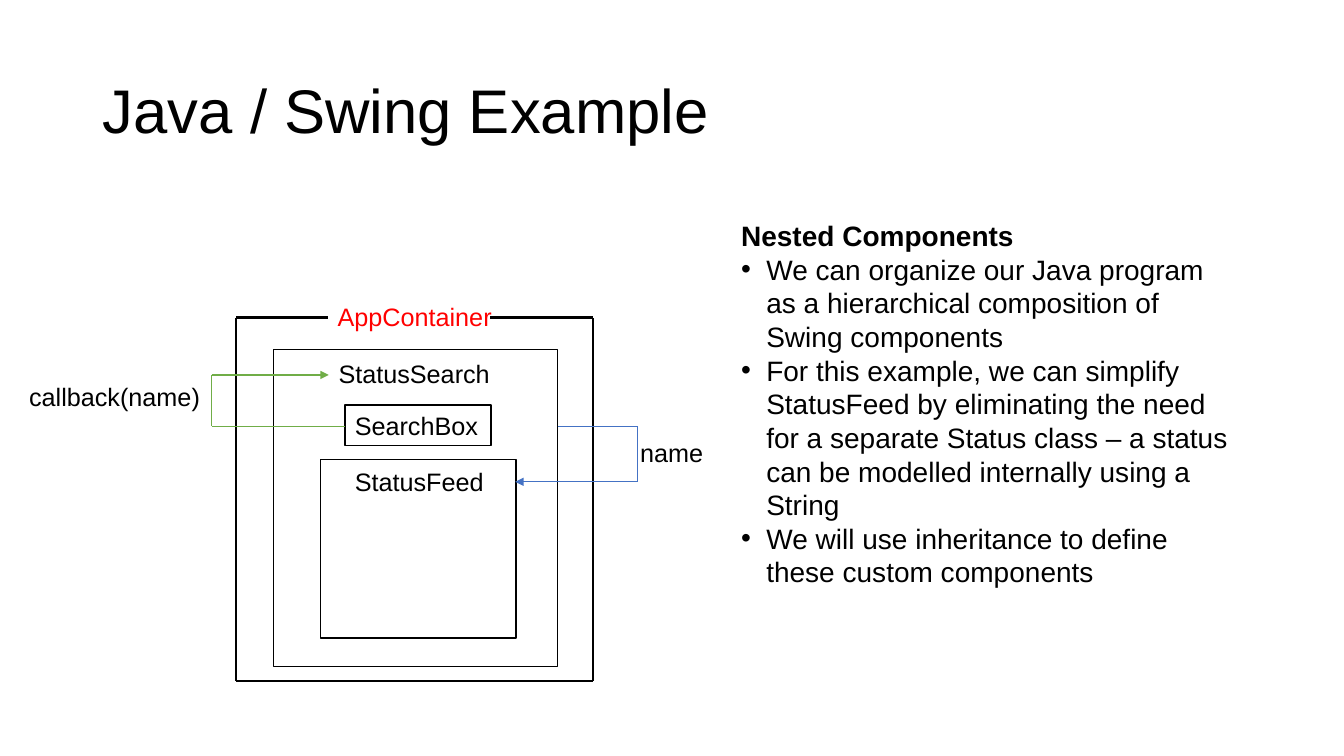
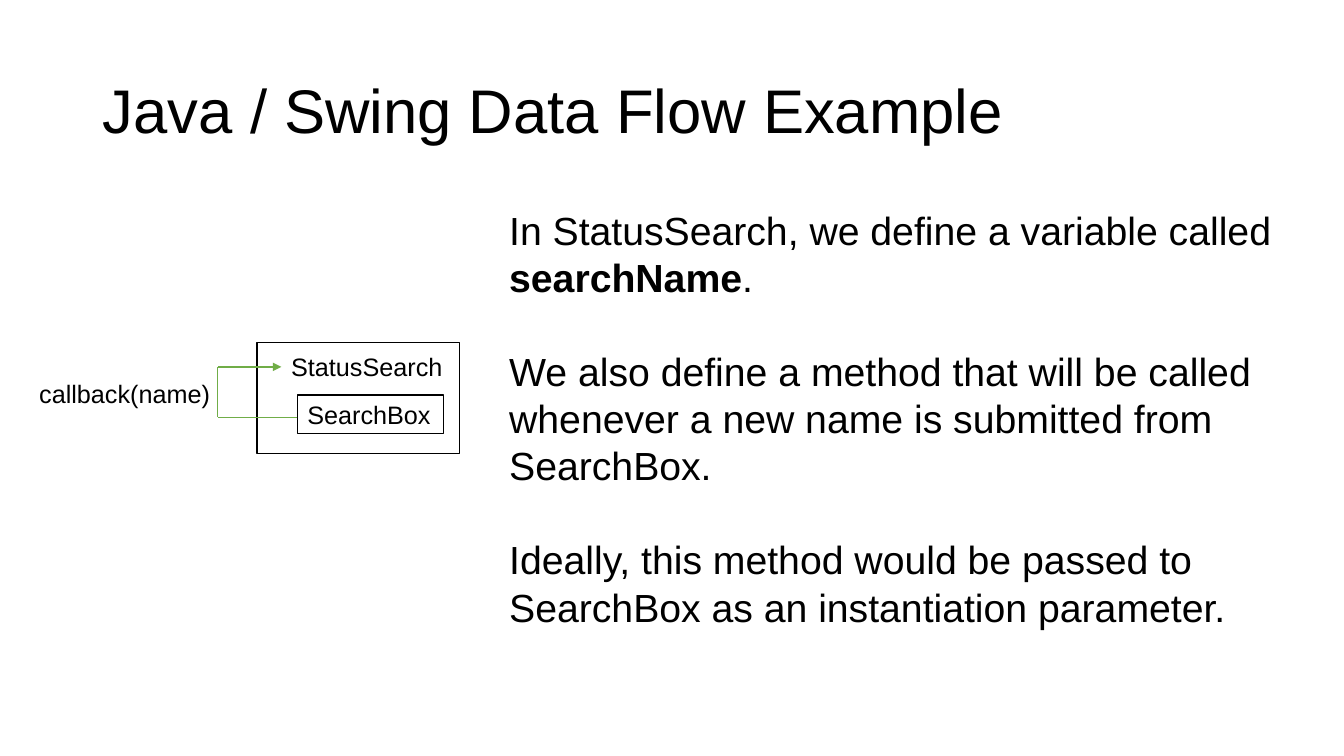
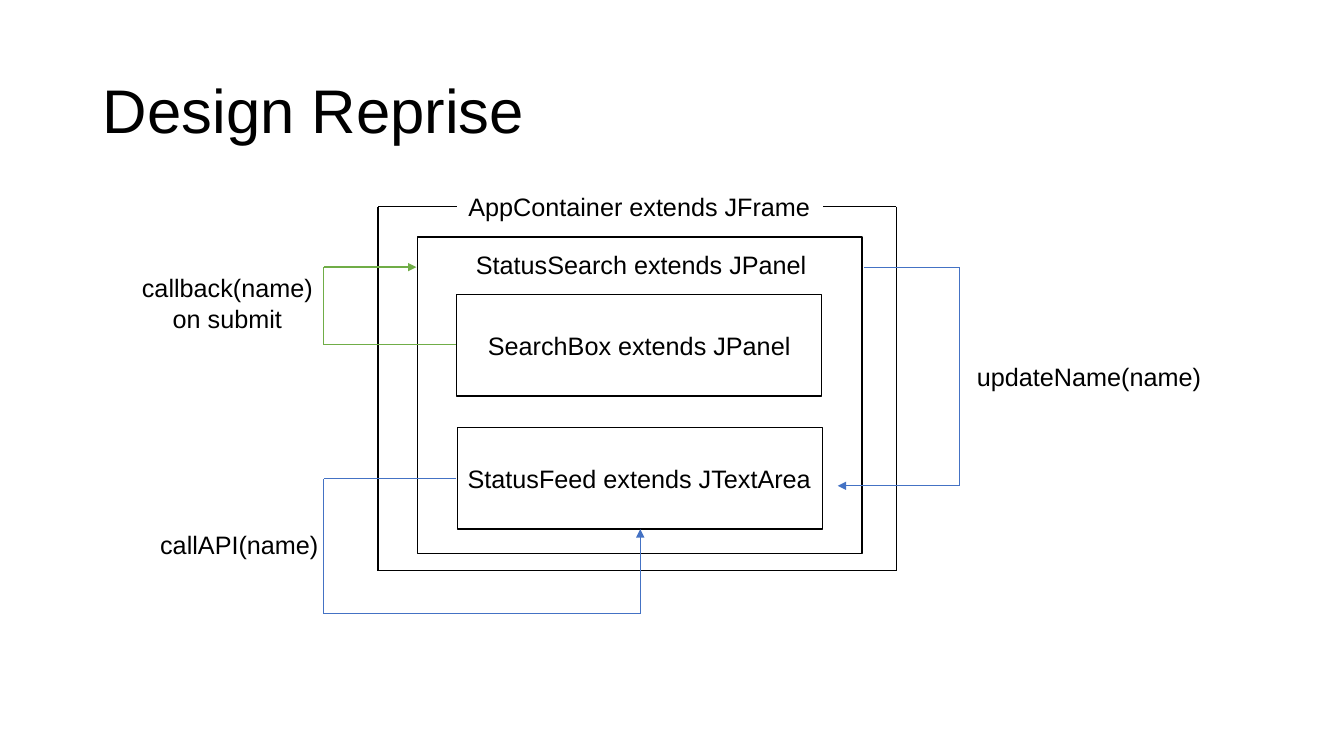
"""Build three slides on nested Java / Swing components and their data flow."""
from dataclasses import dataclass
from itertools import pairwise

from pptx import Presentation
from pptx.dml.color import RGBColor
from pptx.enum.shapes import MSO_CONNECTOR, MSO_SHAPE
from pptx.enum.text import MSO_ANCHOR, MSO_AUTO_SIZE, PP_ALIGN
from pptx.oxml.ns import qn
from pptx.util import Inches, Pt


@dataclass(frozen=True)
class Theme:
    font: str = "Arial"
    ink: str = "000000"
    paper: str = "FFFFFF"
    red: str = "FF0000"
    blue: str = "4472C4"
    green: str = "70AD47"
    title_size: int = 44
    label_size: int = 18
    line_height: float = 1.2
    thin: float = 0.5
    normal: float = 1
    thick: float = 1.5


T = Theme()
LEFT, CENTER = PP_ALIGN.LEFT, PP_ALIGN.CENTER
TITLE_AT = (0.92, 0.4, 11.5, 1.45)

SLIDES = [
    {
        "title": "Java / Swing Example",
        "body": {
            "at": (7.25, 2.12, 5.15, 4.76), "size": 20, "gap": 0,
            "paragraphs": [
                (False, [("Nested Components", True)]),
                (True, [("We can organize our Java program as a hierarchical "
                         "composition of Swing components", False)]),
                (True, [("For this example, we can simplify StatusFeed by eliminating "
                         "the need for a separate Status class – a status can be "
                         "modelled internally using a String", False)]),
                (True, [("We will use inheritance to define these custom components", False)]),
            ],
        },
        "boxes": [
            ((2.71, 3.47, 2.82, 3.14), "", LEFT),
            ((3.18, 4.56, 1.94, 1.77), "", LEFT),
            ((3.42, 4.02, 1.45, 0.4), "SearchBox", LEFT),
        ],
        "labels": [
            ((3.26, 3.51, 1.77, 0.4), "StatusSearch", LEFT, T.ink),
            ((3.42, 4.58, 2.11, 0.4), "StatusFeed", LEFT, T.ink),
            ((3.25, 2.94, 1.74, 0.4), "AppContainer", LEFT, T.red),
            ((6.25, 4.29, 0.83, 0.4), "name", LEFT, T.ink),
            ((0.19, 3.73, 1.91, 0.4), "callback(name)", LEFT, T.ink),
        ],
        "paths": [
            ([(3.25, 3.15), (2.34, 3.15), (2.34, 6.76), (5.88, 6.76), (5.88, 3.15),
              (4.86, 3.15)], T.ink, T.thick, False),
            ([(5.53, 4.23), (6.32, 4.23), (6.32, 4.78), (5.11, 4.78)], T.blue, T.thin, True),
            ([(3.42, 4.23), (2.1, 4.23), (2.1, 3.72), (3.26, 3.72)], T.green, T.normal, True),
        ],
    },
    {
        "title": "Java / Swing Data Flow Example",
        "body": {
            "at": (4.95, 2, 7.94, 4.76), "size": 28, "gap": 1,
            "paragraphs": [
                (False, [("In StatusSearch, we define a variable called ", False),
                         ("searchName", True), (".", False)]),
                (False, [("We also define a method that will be called whenever a new "
                          "name is submitted from SearchBox.", False)]),
                (False, [("Ideally, this method would be passed to SearchBox as an "
                          "instantiation parameter.", False)]),
            ],
        },
        "boxes": [
            ((2.55, 3.4, 2.01, 1.1), "", LEFT),
            ((2.95, 3.92, 1.45, 0.38), "SearchBox", LEFT),
        ],
        "labels": [
            ((2.79, 3.44, 1.77, 0.4), "StatusSearch", LEFT, T.ink),
            ((0.29, 3.7, 1.91, 0.4), "callback(name)", LEFT, T.ink),
        ],
        "paths": [
            ([(2.95, 4.14), (2.16, 4.14), (2.16, 3.64), (2.79, 3.64)], T.green, T.normal, True),
        ],
    },
    {
        "title": "Design Reprise",
        "body": None,
        "boxes": [
            ((4.14, 2.35, 4.41, 3.14), "", LEFT),
            ((4.54, 4.24, 3.62, 1.01), "StatusFeed extends JTextArea", LEFT),
            ((4.53, 2.92, 3.62, 1.01), "SearchBox extends JPanel", CENTER),
        ],
        "labels": [
            ((4.61, 2.42, 3.5, 0.4), "StatusSearch extends JPanel", CENTER, T.ink),
            ((4.53, 1.85, 3.62, 0.4), "AppContainer extends JFrame", CENTER, T.ink),
            ((9.59, 3.53, 2.45, 0.4), "updateName(name)", LEFT, T.ink),
            ((1.3, 2.65, 1.91, 0.71), "callback(name)\non submit", CENTER, T.ink),
            ((1.49, 5.2, 1.79, 0.4), "callAPI(name)", LEFT, T.ink),
        ],
        "paths": [
            ([(4.53, 2.05), (3.75, 2.05), (3.75, 5.66), (8.89, 5.66), (8.89, 2.05),
              (8.16, 2.05)], T.ink, T.normal, False),
            ([(8.57, 2.65), (9.52, 2.65), (9.52, 4.82), (8.31, 4.82)], T.blue, T.thin, True),
            ([(4.52, 3.42), (3.21, 3.42), (3.21, 2.65), (4.13, 2.65)], T.green, T.normal, True),
            ([(4.52, 4.75), (3.21, 4.75), (3.21, 6.09), (6.35, 6.09), (6.35, 5.25)],
             T.blue, T.thin, True),
        ],
    },
]


def inches(values):
    return [Inches(value) for value in values]


def place(shape, at):
    shape.left, shape.top, shape.width, shape.height = inches(at)


def add_run(paragraph, text, size, color=T.ink, bold=False):
    run = paragraph.add_run()
    run.text = text
    run.font.name, run.font.size, run.font.bold = T.font, Pt(size), bold
    run.font.color.rgb = RGBColor.from_string(color)


def next_paragraph(frame, index):
    return frame.add_paragraph() if index else frame.paragraphs[0]


def add_title(slide, text):
    title = slide.shapes.title
    place(title, TITLE_AT)
    frame = title.text_frame
    frame.vertical_anchor = MSO_ANCHOR.MIDDLE
    frame.auto_size = MSO_AUTO_SIZE.NONE
    paragraph = frame.paragraphs[0]
    paragraph.alignment, paragraph.line_spacing = LEFT, 0.9
    add_run(paragraph, text, T.title_size)


def set_bullet(paragraph, bulleted):
    properties = paragraph._p.get_or_add_pPr()
    indent = Inches(0.25) if bulleted else 0
    properties.set("marL", str(indent))
    properties.set("indent", str(-indent))
    bullet = properties.makeelement(qn("a:buChar" if bulleted else "a:buNone"),
                                    {"char": "•"} if bulleted else {})
    properties.append(bullet)


def add_body(slide, at, size, gap, paragraphs):
    body = slide.placeholders[1]
    place(body, at)
    frame = body.text_frame
    frame.auto_size = MSO_AUTO_SIZE.NONE
    line = size * T.line_height
    for index, (bulleted, runs) in enumerate(paragraphs):
        paragraph = next_paragraph(frame, index)
        paragraph.line_spacing = Pt(line)
        paragraph.space_before = Pt(line * gap if index else 0)
        set_bullet(paragraph, bulleted)
        for text, bold in runs:
            add_run(paragraph, text, size, bold=bold)


def write_label(shape, text, alignment, color=T.ink):
    frame = shape.text_frame
    frame.word_wrap = True
    frame.vertical_anchor = MSO_ANCHOR.MIDDLE
    frame.margin_left = Inches(0 if alignment == CENTER else 0.1)
    frame.margin_right = 0
    for index, line in enumerate(text.split("\n")):
        paragraph = next_paragraph(frame, index)
        paragraph.alignment = alignment
        paragraph.line_spacing = Pt(T.label_size * T.line_height)
        add_run(paragraph, line, T.label_size, color)


def add_box(slide, at, text, alignment):
    box = slide.shapes.add_shape(MSO_SHAPE.RECTANGLE, *inches(at))
    box.shadow.inherit = False
    box.fill.solid()
    box.fill.fore_color.rgb = RGBColor.from_string(T.paper)
    box.line.color.rgb = RGBColor.from_string(T.ink)
    box.line.width = Pt(T.normal)
    if text:
        write_label(box, text, alignment)


def add_path(slide, points, color, width, arrow):
    for start, end in pairwise(points):
        segment = slide.shapes.add_connector(MSO_CONNECTOR.STRAIGHT, *inches(start + end))
        segment.line.color.rgb = RGBColor.from_string(color)
        segment.line.width = Pt(width)
        properties = segment._element.spPr
        properties.append(properties.makeelement(qn("a:effectLst"), {}))
    if arrow:
        line = segment.line._get_or_add_ln()
        line.append(line.makeelement(qn("a:tailEnd"), {"type": "triangle"}))


def build_slide(deck, content):
    layout = deck.slide_layouts[1 if content["body"] else 5]
    slide = deck.slides.add_slide(layout)
    add_title(slide, content["title"])
    if content["body"]:
        add_body(slide, **content["body"])
    for box in content["boxes"]:
        add_box(slide, *box)
    for at, text, alignment, color in content["labels"]:
        write_label(slide.shapes.add_textbox(*inches(at)), text, alignment, color)
    for path in content["paths"]:
        add_path(slide, *path)


deck = Presentation()
deck.slide_width, deck.slide_height = inches((13.33, 7.5))
for content in SLIDES:
    build_slide(deck, content)
deck.save("out.pptx")
